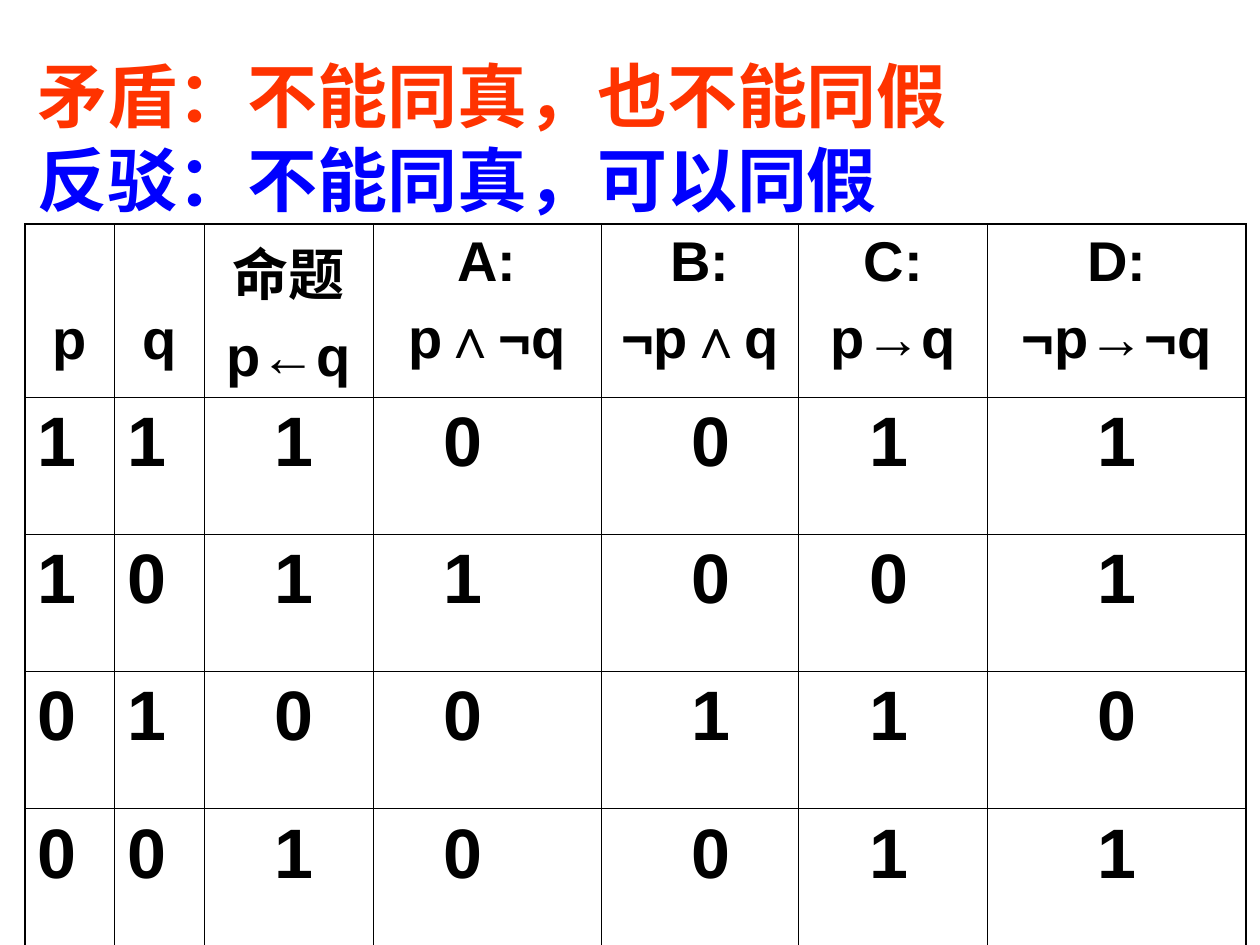
from pptx import Presentation
from pptx.dml.color import RGBColor
from pptx.enum.lang import MSO_LANGUAGE_ID
from pptx.enum.text import MSO_ANCHOR, MSO_AUTO_SIZE, PP_ALIGN
from pptx.oxml.ns import qn
from pptx.util import Inches, Pt
from lxml.etree import SubElement

COLORS = {"ink": "000000", "red": "FF3300", "blue": "0000FF", "paper": "FFFFFF"}
FONT = "Arial"
THIN, THICK = 0.45, 1.08

TITLE = [("矛盾：不能同真，也不能同假", "red"),
         ("反驳：不能同真，可以同假", "blue")]
HEADS = [["p"], ["q"], ["命题", "p←q"], ["A:", "p∧¬q"],
         ["B:", "¬p∧q"], ["C:", "p→q"], ["D:", "¬p→¬q"]]
VALUES = ["1110011", "1011001", "0100110", "0010011"]

COLS = [0.71, 0.71, 1.34, 1.81, 1.57, 1.5, 2.05]
ROWS = [1.37] + [1.09] * len(VALUES)
INDENTS = [0, 0, 0.46, 0.46, 0.62, 0.46, 0.77]  # digit offset in each column


def add_run(para, text, size, color="ink"):
    run = para.add_run()
    run.text = text
    font = run.font
    font.name, font.size, font.bold = FONT, Pt(size), True
    font.color.rgb = RGBColor.from_string(COLORS[color])
    font.language_id = MSO_LANGUAGE_ID.SIMPLIFIED_CHINESE


def add_lines(frame, lines, size, align, gap=0):
    """Write one paragraph per (text, color) pair."""
    for i, (text, color) in enumerate(lines):
        para = frame.add_paragraph() if i else frame.paragraphs[0]
        para.alignment = align
        para.space_before = Pt(gap if i else 0)
        add_run(para, text, size, color)


def set_edges(cell, widths):
    """Draw cell borders; widths are left, right, top, bottom."""
    props = cell._tc.get_or_add_tcPr()
    for i, (tag, width) in enumerate(zip(("lnL", "lnR", "lnT", "lnB"), widths)):
        line = props.makeelement(qn("a:" + tag), {"w": str(Pt(width))})
        fill = SubElement(line, qn("a:solidFill"))
        SubElement(fill, qn("a:srgbClr"), val=COLORS["ink"])
        props.insert(i, line)


def put_title(slide, left, top, width, height):
    title = slide.shapes.title
    title.left, title.top = Inches(left), Inches(top)
    title.width, title.height = Inches(width), Inches(height)
    frame = title.text_frame
    frame.word_wrap = True
    frame.auto_size = MSO_AUTO_SIZE.NONE
    frame.vertical_anchor = MSO_ANCHOR.TOP
    frame.margin_top = Inches(0.42)
    add_lines(frame, TITLE, 40, PP_ALIGN.LEFT)
    for para in frame.paragraphs:
        para.line_spacing = Pt(48)


def put_table(slide, left, top):
    count, span = len(ROWS), len(COLS)
    table = slide.shapes.add_table(
        count, span, Inches(left), Inches(top),
        Inches(sum(COLS)), Inches(sum(ROWS))).table
    table.first_row = table.horz_banding = False
    for col, width in zip(table.columns, COLS):
        col.width = Inches(width)
    for row, height in zip(table.rows, ROWS):
        row.height = Inches(height)

    for r in range(count):
        for c in range(span):
            cell = table.cell(r, c)
            cell.fill.solid()
            cell.fill.fore_color.rgb = RGBColor.from_string(COLORS["paper"])
            outer = (c == 0, c == span - 1, r == 0, r == count - 1)
            set_edges(cell, [THICK if edge else THIN for edge in outer])
            if r == 0:
                # Single-line heads sit level with the second line of the rest
                if len(HEADS[c]) == 1:
                    cell.margin_top = Inches(0.67)
                lines = [(text, "ink") for text in HEADS[c]]
                add_lines(cell.text_frame, lines, 32, PP_ALIGN.CENTER, 8)
            else:
                cell.margin_left = Inches(0.1 + INDENTS[c])
                add_lines(cell.text_frame, [(VALUES[r - 1][c], "ink")],
                          40, PP_ALIGN.LEFT)


def main():
    deck = Presentation()
    deck.slide_width, deck.slide_height = Inches(10), Inches(7.5)
    slide = deck.slides.add_slide(deck.slide_layouts[5])
    put_title(slide, 0.2, 0, 9.45, 1.39)
    put_table(slide, 0.2, 1.78)
    deck.save("out.pptx")


if __name__ == "__main__":
    main()
